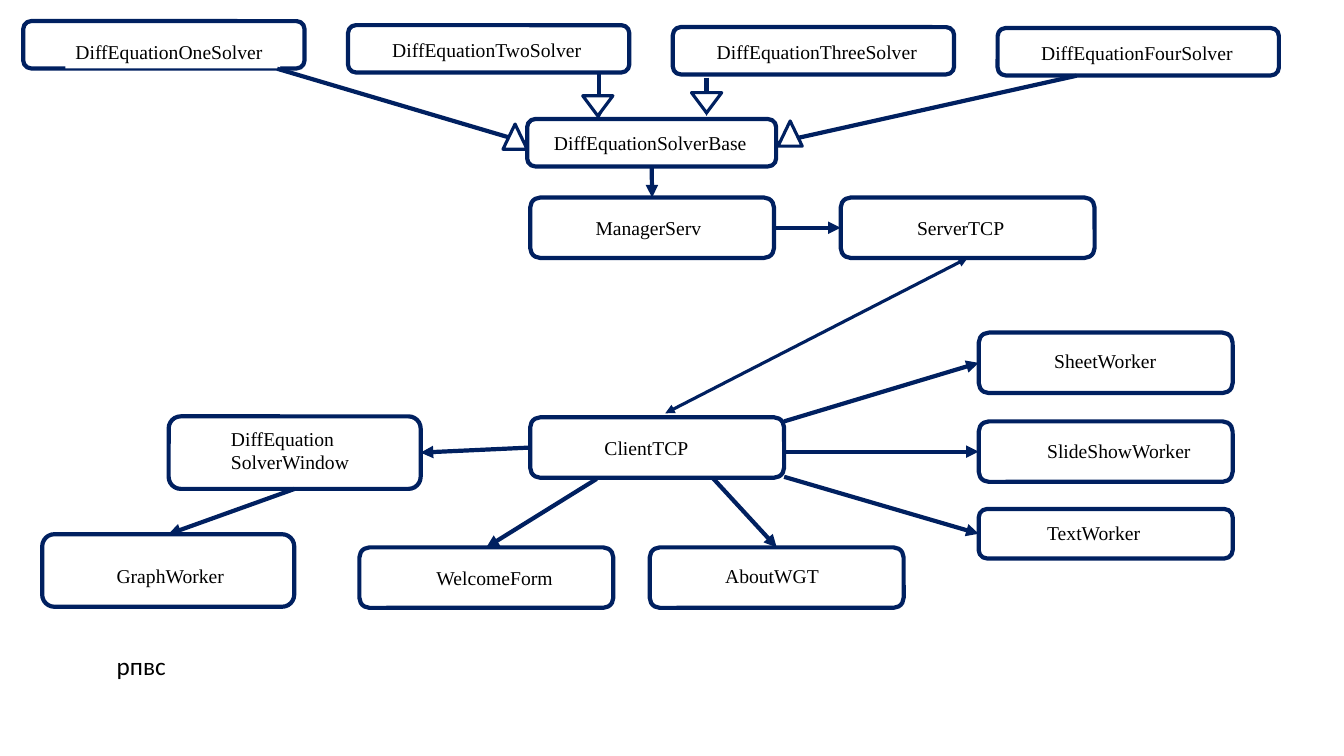
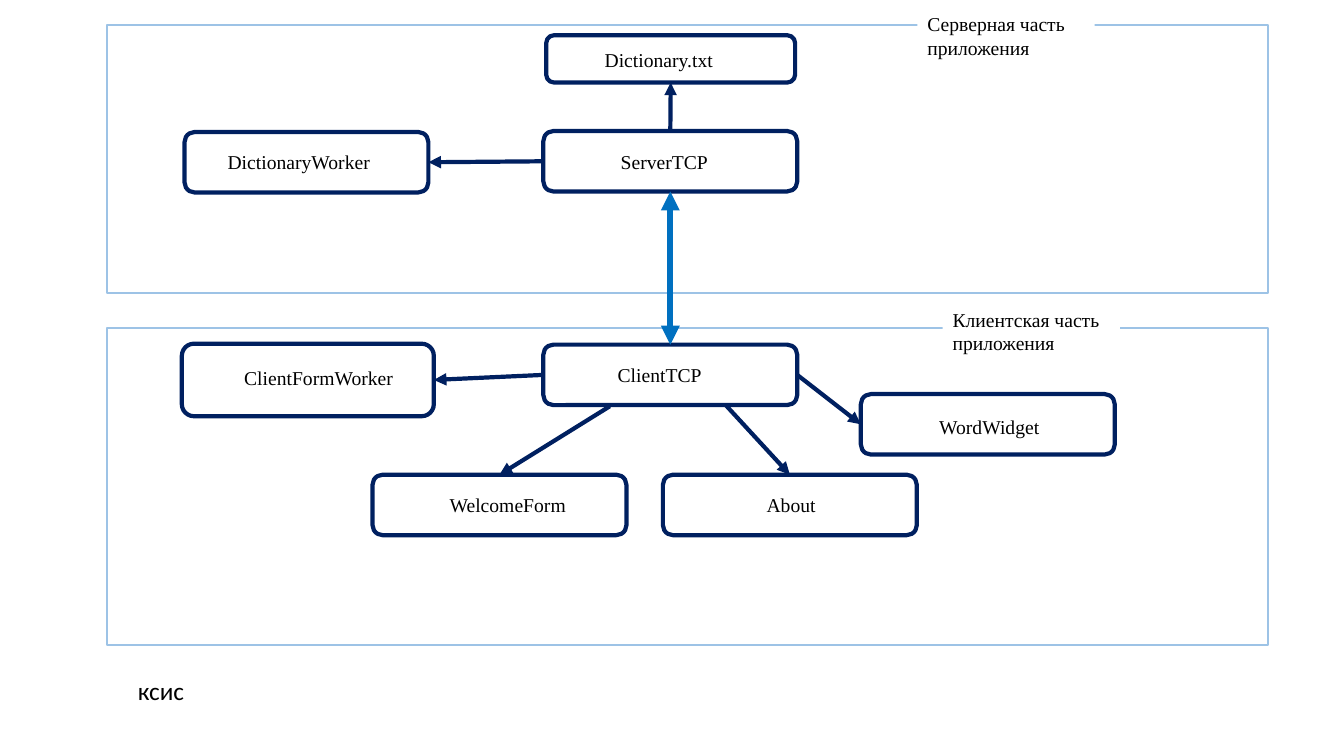
from lxml import etree
from pptx import Presentation
from pptx.dml.color import RGBColor
from pptx.enum import shapes, text
from pptx.oxml import ns
from pptx.util import Pt

NAVY, SKY, BLUE, WHITE, BLACK = "002060", "9DC3E6", "0070C0", "FFFFFF", "000000"
LABEL_FONT, CAPTION_FONT = "Times New Roman", "Calibri"
TOP, LEFT, BOTTOM, RIGHT = range(4)
NODE_W, NODE_H = 181.4, 43.2
WIDE_W, WIDE_H = 180, 51.8
SLIM_H = 33.8


def color(value):
    return RGBColor.from_string(value)


def outline(slide, kind, box, line=None, weight=3, fill=None):
    shape = slide.shapes.add_shape(kind, *map(Pt, box))
    shape.shadow.inherit = False
    if fill:
        shape.fill.solid()
        shape.fill.fore_color.rgb = color(fill)
    else:
        shape.fill.background()
    if line:
        shape.line.color.rgb = color(line)
        shape.line.width = Pt(weight)
    else:
        shape.line.fill.background()
    return shape


def write(shape, lines, font, size):
    frame = shape.text_frame
    frame.word_wrap = True
    frame.auto_size = text.MSO_AUTO_SIZE.SHAPE_TO_FIT_TEXT
    for index, line in enumerate(lines):
        paragraph = frame.add_paragraph() if index else frame.paragraphs[0]
        paragraph.alignment = text.PP_ALIGN.LEFT
        run = paragraph.add_run()
        run.text = line
        run.font.name = font
        run.font.size = Pt(size)
        run.font.color.rgb = color(BLACK)


def label(slide, lines, x, y, width):
    height = 7.7 + 16.8 * len(lines)
    patch = outline(slide, shapes.MSO_SHAPE.RECTANGLE, (x, y, width, height), fill=WHITE)
    patch.text_frame.vertical_anchor = text.MSO_ANCHOR.MIDDLE
    write(patch, lines, LABEL_FONT, 14)


def node(slide, lines, x, y, place, width=NODE_W, height=NODE_H):
    dx, dy, label_width = place
    body = outline(slide, shapes.MSO_SHAPE.ROUNDED_RECTANGLE, (x, y, width, height), NAVY)
    label(slide, lines, x + dx, y + dy, label_width)
    return body


def arrow(slide, start, end, line=NAVY, weight=3, both=False):
    link = slide.shapes.add_connector(shapes.MSO_CONNECTOR.STRAIGHT, 0, 0, 0, 0)
    if isinstance(start[0], (int, float)):
        link.begin_x, link.begin_y = map(Pt, start)
    else:
        link.begin_connect(*start)
    if isinstance(end[0], (int, float)):
        link.end_x, link.end_y = map(Pt, end)
    else:
        link.end_connect(*end)
    link.line.color.rgb = color(line)
    link.line.width = Pt(weight)
    stroke = link.line._get_or_add_ln()
    for tip in ("a:headEnd", "a:tailEnd") if both else ("a:tailEnd",):
        etree.SubElement(stroke, ns.qn(tip)).set("type", "triangle")
    etree.SubElement(link._element.spPr, ns.qn("a:effectLst"))


def inheritance_mark(slide, x, y, width, height, turn=0):
    mark = outline(slide, shapes.MSO_SHAPE.ISOSCELES_TRIANGLE, (x, y, width, height),
                   NAVY, 2.25, WHITE)
    mark.rotation = turn


def caption(slide, words, x, y):
    box = slide.shapes.add_textbox(*map(Pt, (x, y, 81.4, 28.8)))
    write(box, [words], CAPTION_FONT, 18)


def solver_tier(slide, x, y):
    base = node(slide, ["DiffEquationSolverBase"], x + 360, y + 70, (12, 4.3, 153.4),
                177.8, SLIM_H)
    solvers = [
        ("One", 0, (30.2, 9.4, 153.4)),
        ("Two", 2.9, (24.5, 5, 153.4)),
        ("Three", 4.3, (24.3, 5, 158.4)),
        ("Four", 5, (24, 5, 153.4)),
    ]
    for index, (number, drop, place) in enumerate(solvers):
        node(slide, [f"DiffEquation{number}Solver"], x + 232 * index, y + drop, place,
             200.9, SLIM_H)
    arrow(slide, (x + 181.4, y + 34), (base, LEFT))
    arrow(slide, (x + 411.1, y + 36), (x + 411.1, y + 70))
    arrow(slide, (x + 488.1, y + 40.3), (x + 488.1, y + 67.7))
    arrow(slide, (x + 752.4, y + 39), (base, RIGHT))
    for dx, dy in ((399.6, 53.3), (477.3, 51.1)):
        inheritance_mark(slide, x + dx, y + dy, 21.6, 14.4, 180)
    for dx, dy in ((342.7, 73.5), (539.2, 71.3)):
        inheritance_mark(slide, x + dx, y + dy, 17.3, 18)
    return base


def client_tier(slide, x, y, window_lines, window_place, about, about_place):
    client = node(slide, ["ClientTCP"], x, y, (46, 9.4, 88.6))
    window = node(slide, window_lines, x - 258.2, y - 0.7, window_place, WIDE_W, WIDE_H)
    welcome = node(slide, ["WelcomeForm"], x - 122, y + 92.9, (48, 9.4, 97.9))
    about_form = node(slide, [about], x + 85.4, y + 92.9, about_place)
    arrow(slide, (client, LEFT), (window, RIGHT))
    arrow(slide, (x + 47.5, y + 44), (welcome, TOP))
    arrow(slide, (x + 130.3, y + NODE_H), (about_form, TOP))
    return client, window


def document_workers(slide, x, y, client_right, client_top):
    workers = [
        ("SheetWorker", 0, (46.8, 7.9, 88.6), NODE_H, 2.9),
        ("SlideShowWorker", 63.4, (41.8, 8.6, 120.2), NODE_H, 24.5),
        ("TextWorker", 126, (41.8, 5, 105.8), 35.3, 42.5),
    ]
    for name, drop, place, height, exit_drop in workers:
        worker = node(slide, [name], x, y + drop, place, height=height)
        arrow(slide, (client_right, client_top + exit_drop), (worker, LEFT))


def part_frame(slide, lines, box, dx, dy):
    outline(slide, shapes.MSO_SHAPE.RECTANGLE, box, SKY, 1.5)
    label(slide, lines, box[0] + dx, box[1] + dy, 126.7)


def solver_slide(slide):
    base = solver_tier(slide, 16.6, 15.1)
    manager = node(slide, ["ManagerServ"], 378.7, 141.1, (39.6, 9.4, 113), 174.2)
    server = node(slide, ["ServerTCP"], 600.5, 141.1, (47.5, 9.4, 88.6))
    arrow(slide, (base, BOTTOM), (manager, TOP))
    arrow(slide, (manager, RIGHT), (server, LEFT))
    x, y = 378.7, 298.1
    _, window = client_tier(slide, x, y, ["DiffEquation", "SolverWindow"],
                            (37.4, 3.6, 105.1), "AboutWGT", (46.8, 7.9, 88.6))
    arrow(slide, (475.2, 295.2), (server, BOTTOM), weight=2.25, both=True)
    graph = node(slide, ["GraphWorker"], 30.2, 381.6, (46, 17.3, 105.1), WIDE_W, WIDE_H)
    arrow(slide, (window, BOTTOM), (graph, TOP))
    document_workers(slide, 699.1, 237.6, x + NODE_W, y)
    caption(slide, "рпвс", 76.3, 460.8)


def dictionary_slide(slide):
    part_frame(slide, ["Серверная часть", "приложения"], (76.3, 18, 829.4, 191.5), 579, -13)
    part_frame(slide, ["Клиентская часть", "приложения"], (76.3, 234, 829.4, 226.8), 597, -18)
    dictionary = node(slide, ["Dictionary.txt"], 390.2, 25.2, (34.6, 5, 115.9), 177.8, SLIM_H)
    worker = node(slide, ["DictionaryWorker"], 131.8, 94.3, (23.7, 8.7, 126.7), 174.2)
    server = node(slide, ["ServerTCP"], 388.1, 93.6, (48.2, 9.4, 88.6))
    arrow(slide, (server, LEFT), (worker, RIGHT))
    arrow(slide, (server, TOP), (dictionary, BOTTOM))
    client, _ = client_tier(slide, 388.1, 246.2, ["ClientFormWorker"],
                            (37.4, 12.3, 136.8), "About", (67, 9.4, 88.6))
    arrow(slide, (client, TOP), (server, BOTTOM), BLUE, 4.5, True)
    widget = node(slide, ["WordWidget"], 614.9, 281.5, (48.9, 10.8, 88.6))
    arrow(slide, (client, RIGHT), (widget, LEFT))
    caption(slide, "ксис", 91.4, 478.8)


def main():
    deck = Presentation()
    deck.slide_width, deck.slide_height = Pt(960), Pt(540)
    for build in (solver_slide, dictionary_slide):
        build(deck.slides.add_slide(deck.slide_layouts[6]))
    deck.save("out.pptx")


if __name__ == "__main__":
    main()
